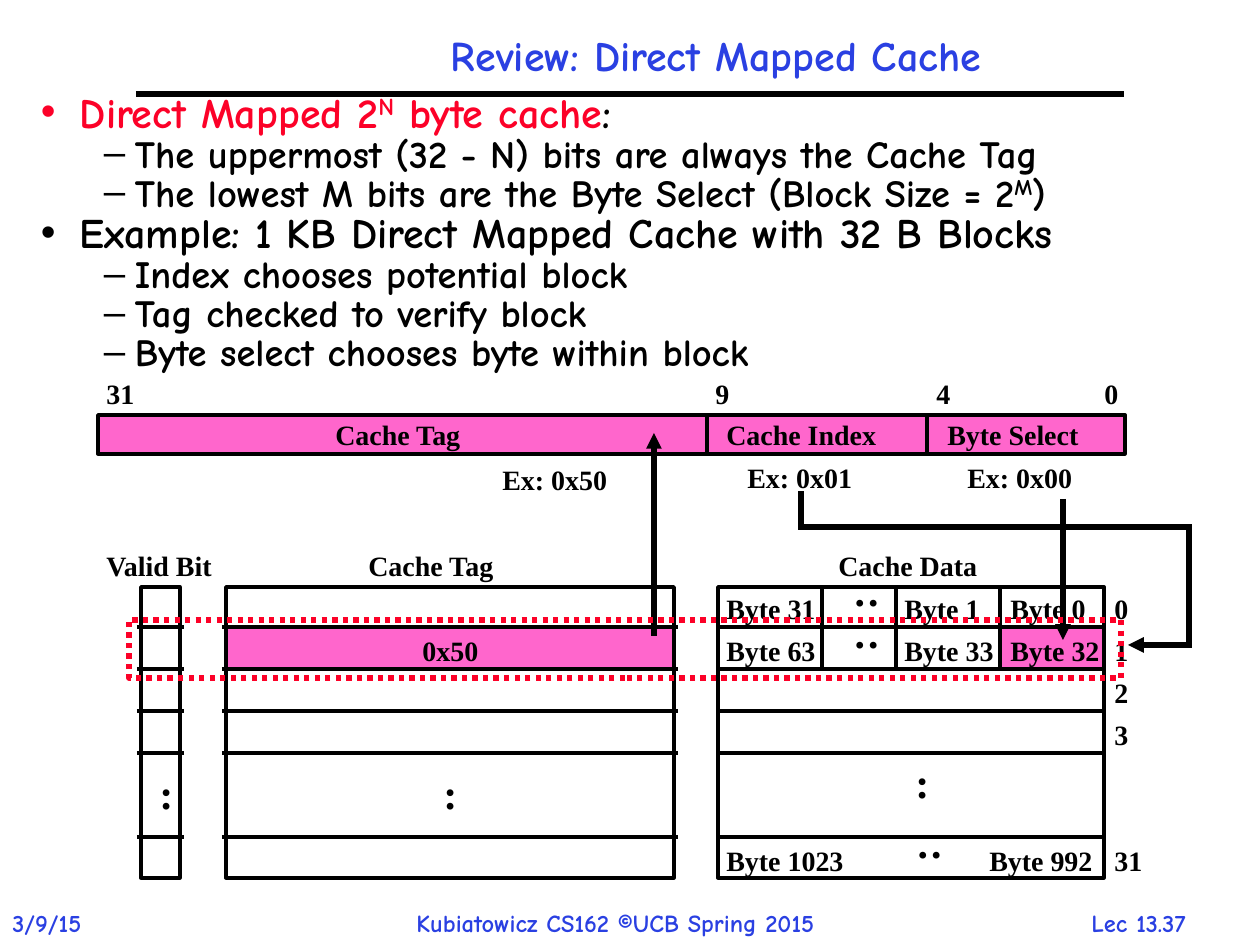
import itertools

import pptx
import pptx.dml.color
import pptx.enum.dml
import pptx.enum.shapes
import pptx.enum.text
import pptx.oxml.ns
import pptx.util
from dataclasses import dataclass
from lxml import etree


@dataclass(frozen=True)
class Theme:
    ink: str = "000000"
    blue: str = "2A40E2"
    red: str = "FC0128"
    pink: str = "FF66CC"
    heading_font: str = "Comic Neue"
    diagram_font: str = "Times New Roman"
    large: int = 24
    medium: int = 22
    label: int = 16
    footer: int = 14
    thin: float = 2
    thick: float = 3


THEME = Theme()

TITLE = "Review: Direct Mapped Cache"
POINTS = [
    (0, [("Direct Mapped 2", THEME.red, False), ("N", THEME.red, True),
         (" byte cache", THEME.red, False), (":", THEME.ink, False)]),
    (1, [("The uppermost (32 - N) bits are always the Cache Tag", THEME.ink, False)]),
    (1, [("The lowest M bits are the Byte Select (Block Size = 2", THEME.ink, False),
         ("M", THEME.ink, True), (")", THEME.ink, False)]),
    (0, [("Example: 1 KB Direct Mapped Cache with 32 B Blocks", THEME.ink, False)]),
    (1, [("Index chooses potential block", THEME.ink, False)]),
    (1, [("Tag checked to verify block", THEME.ink, False)]),
    (1, [("Byte select chooses byte within block", THEME.ink, False)]),
]
LEVELS = [("•", 39, -39, THEME.large), ("–", 94, -31, THEME.medium)]
FOOTERS = [("3/9/15", 0, 111), ("Kubiatowicz CS162 ©UCB Spring 2015", 404, 488),
           ("Lec 13.37", 1079, 168)]

FIELD_EDGES = [98, 707, 927, 1125]
BIT_NUMBERS = [("31", 94, 53), ("9", 703, 39), ("4", 924, 39), ("0", 1092, 39)]
FIELD_NAMES = [("Cache Tag", 323, 154), ("Cache Index", 714, 175), ("Byte Select", 935, 156)]
EXAMPLES = [("Ex: 0x50", 490, 456, 130), ("Ex: 0x01", 735, 454, 130),
            ("Ex: 0x00", 955, 454, 130)]

ARRAY_TOP, ARRAY_HEIGHT, ROW_PITCH = 587, 291, 42
FIRST_RULE = ARRAY_TOP + 40
RULED_ROWS = [0, 1, 2, 3, 5]
ARRAYS = [("Valid Bit", 94, 134, 141, 39, 4), ("Cache Tag", 356, 153, 226, 448, 4),
          ("Cache Data", 826, 164, 718, 386, 0)]
BYTE_EDGES = [822, 896, 1000]
ROW_LABELS = [
    (0, [("Byte 31", 714, 115), ("Byte 1", 892, 101), ("Byte 0", 998, 101), ("0", 1102, 39)]),
    (1, [("0x50", 410, 81), ("Byte 63", 714, 115), ("Byte 33", 892, 115),
         ("Byte 32", 998, 115), ("1", 1102, 39)]),
    (2, [("2", 1102, 39)]),
    (3, [("3", 1102, 39)]),
    (6, [("Byte 1023", 714, 142), ("Byte 992", 977, 129), ("31", 1102, 53)]),
]
VERTICAL_DOTS = [(147, 761), (431, 761), (903, 750)]
HORIZONTAL_DOTS = [(840, 0), (840, 1), (903, 6)]
INDEX_ROUTE = [(801, 494), (801, 527), (1189, 527), (1189, 645), (1128, 645)]


def px(length):
    return pptx.util.Emu(round(length * 914400 / 126))


def rgb(color):
    return pptx.dml.color.RGBColor.from_string(color)


def write(paragraph, text, *, size=THEME.label, font=THEME.diagram_font,
          color=THEME.ink, raised=False):
    run = paragraph.add_run()
    run.text = text
    run.font.size = pptx.util.Pt(size)
    run.font.name = font
    run.font.bold = True
    run.font.color.rgb = rgb(color)
    if raised:
        run.font._element.set("baseline", "30000")


def set_insets(frame, side, end):
    frame.margin_left = frame.margin_right = px(side)
    frame.margin_top = frame.margin_bottom = px(end)


def place(part, left, top, width, height):
    part.left, part.top, part.width, part.height = map(px, (left, top, width, height))


def add_label(slide, text, left, top, width, height=45, rotation=0, **style):
    box = slide.shapes.add_textbox(px(left), px(top), px(width), px(height))
    box.rotation = rotation
    box.text_frame.word_wrap = False
    set_insets(box.text_frame, 12.6, 6.3)
    write(box.text_frame.paragraphs[0], text, **style)


def add_box(slide, left, top, width, height, fill=None, line=THEME.ink,
            weight=THEME.thin, dash=None):
    box = slide.shapes.add_shape(pptx.enum.shapes.MSO_SHAPE.RECTANGLE,
                                 px(left), px(top), px(width), px(height))
    box.shadow.inherit = False
    if fill:
        box.fill.solid()
        box.fill.fore_color.rgb = rgb(fill)
    else:
        box.fill.background()
    box.line.color.rgb = rgb(line)
    box.line.width = pptx.util.Pt(weight)
    if dash:
        box.line.dash_style = dash


def add_line(slide, start, end, weight=THEME.thin, arrow=False, cap="flat"):
    line = slide.shapes.add_connector(pptx.enum.shapes.MSO_CONNECTOR.STRAIGHT,
                                      *map(px, start + end))
    line.line.color.rgb = rgb(THEME.ink)
    line.line.width = pptx.util.Pt(weight)
    outline = line.line._get_or_add_ln()
    outline.set("cap", cap)
    if arrow:
        etree.SubElement(outline, pptx.oxml.ns.qn("a:tailEnd"), type="triangle")
    etree.SubElement(line._element.spPr, pptx.oxml.ns.qn("a:effectLst"))


def fill_title(title):
    place(title, 404, 32, 624, 52)
    frame = title.text_frame
    frame.word_wrap = False
    frame.vertical_anchor = pptx.enum.text.MSO_ANCHOR.MIDDLE
    frame.auto_size = pptx.enum.text.MSO_AUTO_SIZE.NONE
    set_insets(frame, 9, 4)
    heading = frame.paragraphs[0]
    heading.alignment = pptx.enum.text.PP_ALIGN.CENTER
    heading.line_spacing = 0.9
    write(heading, TITLE, size=THEME.large, font=THEME.heading_font, color=THEME.blue)


def fill_points(body):
    place(body, 32, 92, 1218, 287)
    frame = body.text_frame
    frame.word_wrap = True
    frame.vertical_anchor = pptx.enum.text.MSO_ANCHOR.TOP
    frame.auto_size = pptx.enum.text.MSO_AUTO_SIZE.NONE
    set_insets(frame, 9, 4)
    for position, (level, pieces) in enumerate(POINTS):
        point = frame.add_paragraph() if position else frame.paragraphs[0]
        bullet, margin, indent, size = LEVELS[level]
        point.level = level
        point.line_spacing = 0.8
        point.space_before = pptx.util.Pt(1.2 if position else 0)
        properties = point._p.get_or_add_pPr()
        properties.set("marL", str(px(margin)))
        properties.set("indent", str(px(indent)))
        etree.SubElement(properties, pptx.oxml.ns.qn("a:buChar"), char=bullet)
        for text, color, raised in pieces:
            write(point, text, size=size, font=THEME.heading_font, color=color, raised=raised)


def draw_address(slide):
    for left, right in itertools.pairwise(FIELD_EDGES):
        add_box(slide, left, 415, right - left, 39, fill=THEME.pink)
    for text, left, width in BIT_NUMBERS:
        add_label(slide, text, left, 370, width)
    for text, left, width in FIELD_NAMES:
        add_label(slide, text, left, 411, width)
    for text, left, top, width in EXAMPLES:
        add_label(slide, text, left, top, width)


def draw_arrays(slide):
    for left, width in [(226, 448), (1000, 104)]:
        add_box(slide, left, FIRST_RULE, width, ROW_PITCH, fill=THEME.pink)
    for header, header_left, header_width, left, width, overhang in ARRAYS:
        add_label(slide, header, header_left, 542, header_width)
        add_box(slide, left, ARRAY_TOP, width, ARRAY_HEIGHT)
        for row in RULED_ROWS:
            y = FIRST_RULE + row * ROW_PITCH
            add_line(slide, (left - overhang, y), (left + width + overhang, y))
    for row, x in itertools.product(range(2), BYTE_EDGES):
        y = ARRAY_TOP + row * ROW_PITCH
        add_line(slide, (x, y), (x, y + 39))
    for row, labels in ROW_LABELS:
        for text, left, width in labels:
            add_label(slide, text, left, ARRAY_TOP - 2 + row * ROW_PITCH, width)
    for left, top in VERTICAL_DOTS:
        add_label(slide, ":", left, top, 39, 63, size=THEME.large)
    for left, row in HORIZONTAL_DOTS:
        add_label(slide, ":", left, ARRAY_TOP - 15 + row * ROW_PITCH, 39, 63,
                  rotation=270, size=THEME.large)


def draw_lookup(slide):
    add_line(slide, (654, 636), (654, 433), THEME.thick, arrow=True)
    add_line(slide, (1063, 499), (1063, 640), THEME.thick, arrow=True)
    for start, end in itertools.pairwise(INDEX_ROUTE):
        last = end == INDEX_ROUTE[-1]
        add_line(slide, start, end, THEME.thick, arrow=last, cap="flat" if last else "sq")
    add_box(slide, 129, 620, 992, 58, line=THEME.red, weight=THEME.thick,
            dash=pptx.enum.dml.MSO_LINE.ROUND_DOT)


def main():
    deck = pptx.Presentation()
    deck.slide_width, deck.slide_height = px(1260), px(945)
    slide = deck.slides.add_slide(deck.slide_layouts[1])
    fill_title(slide.shapes.title)
    fill_points(slide.placeholders[1])
    add_line(slide, (136, 94), (1124, 94), THEME.thick)
    for text, left, width in FOOTERS:
        add_label(slide, text, left, 902, width, 42, size=THEME.footer,
                  font=THEME.heading_font, color=THEME.blue)
    draw_address(slide)
    draw_arrays(slide)
    draw_lookup(slide)
    deck.save("out.pptx")


if __name__ == "__main__":
    main()
